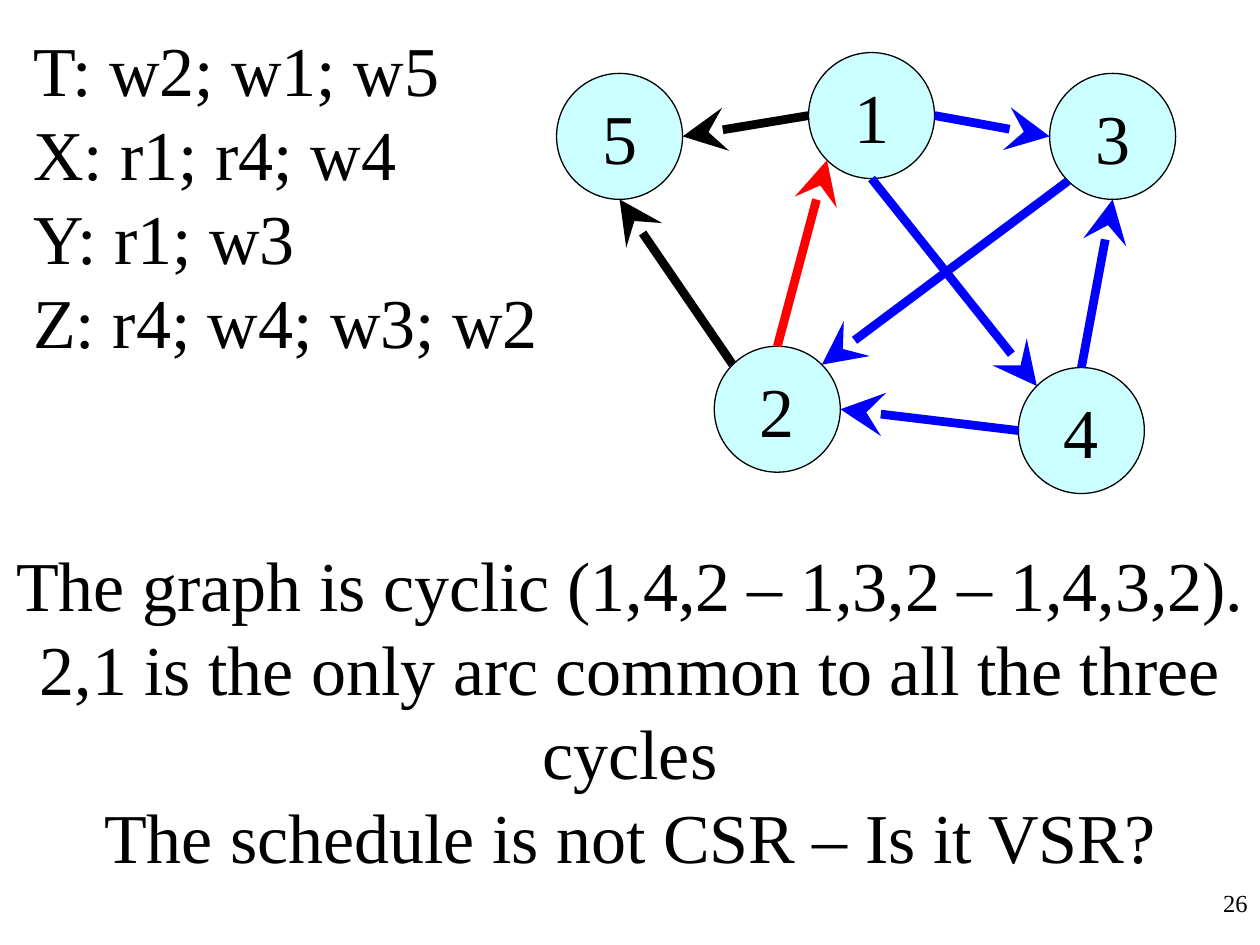
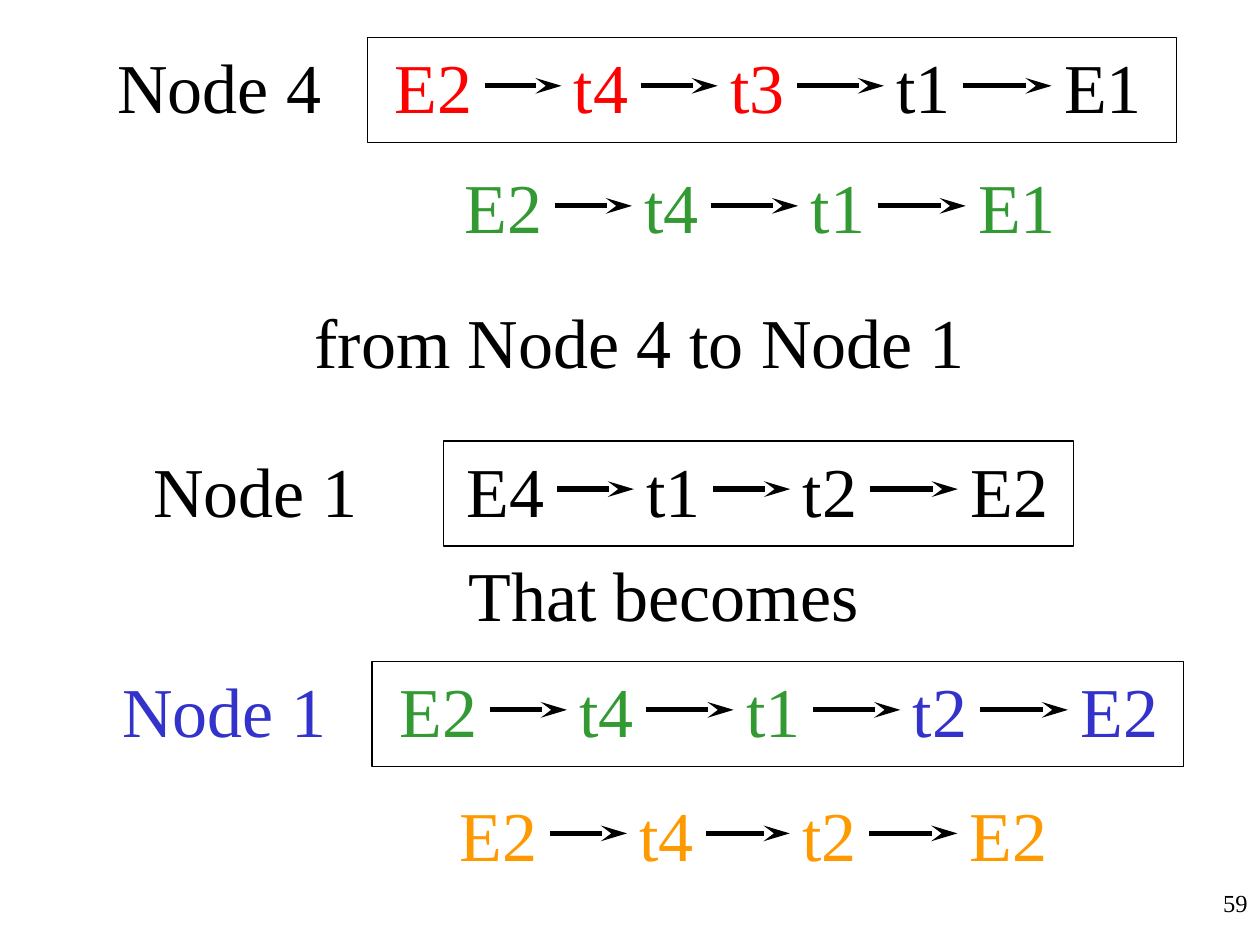
from math import cos, radians, sin

from lxml.etree import SubElement
from pptx import Presentation
from pptx.dml.color import RGBColor
from pptx.enum.shapes import MSO_CONNECTOR, MSO_SHAPE
from pptx.enum.text import MSO_ANCHOR, PP_ALIGN
from pptx.oxml.ns import qn
from pptx.util import Cm, Pt

BLACK = RGBColor(0, 0, 0)
RED = RGBColor(0xFF, 0, 0)
BLUE = RGBColor(0, 0, 0xFF)
PALE_CYAN = RGBColor(0xCC, 0xFF, 0xFF)
GREEN = RGBColor(0x33, 0x99, 0x33)
INDIGO = RGBColor(0x33, 0x33, 0xCC)
ORANGE = RGBColor(0xFF, 0x99, 0)

FONT = "Times New Roman"
TEXT_SIZE = 40
NUMBER_SIZE = 14
LINE_FACTOR = 1.2
TEXT_HEIGHT = 1.96

NODE_SIZE = 2.54
RIGHT, BOTTOM, BOTTOM_LEFT, LEFT = 0, 90, 135, 180
TOP_LEFT, TOP, TOP_RIGHT = 225, 270, 315

NODES = {
    "1": (5.08, 0),
    "2": (3.18, 5.92),
    "3": (9.94, 0.42),
    "4": (9.31, 6.35),
    "5": (0, 0.42),
}
ARCS = [
    ("2", TOP, "1", BOTTOM_LEFT, RED),
    ("1", LEFT, "5", RIGHT, BLACK),
    ("1", BOTTOM, "4", TOP_LEFT, BLUE),
    ("1", RIGHT, "3", LEFT, BLUE),
    ("4", LEFT, "2", RIGHT, BLUE),
    ("2", TOP_LEFT, "5", BOTTOM, BLACK),
    ("4", TOP, "3", BOTTOM, BLUE),
    ("3", BOTTOM_LEFT, "2", TOP_RIGHT, BLUE),
]

FRAME_HEIGHT = 2.12
LABEL_WIDTH = 4.62
ARROW_DROP = 0.97
FIRST_GAP, LAST_GAP = 1.55, 1.78
STEP_WIDTHS = {"E": 2.07, "t": 1.6}


def write_lines(frame, lines, color=BLACK, size=TEXT_SIZE, align=PP_ALIGN.CENTER):
    for index, line in enumerate(lines):
        paragraph = frame.paragraphs[0] if index == 0 else frame.add_paragraph()
        paragraph.alignment = align
        paragraph.line_spacing = Pt(size * LINE_FACTOR)
        run = paragraph.add_run()
        run.text = line
        run.font.name = FONT
        run.font.size = Pt(size)
        run.font.color.rgb = color


def add_text(slide, left, top, width, height, lines, wrap=False, **style):
    box = slide.shapes.add_textbox(Cm(left), Cm(top), Cm(width), Cm(height))
    box.text_frame.word_wrap = wrap
    write_lines(box.text_frame, lines, **style)


def add_outlined(slide, preset, left, top, width, height, fill=None):
    shape = slide.shapes.add_shape(preset, Cm(left), Cm(top), Cm(width), Cm(height))
    shape.shadow.inherit = False
    if fill is None:
        shape.fill.background()
    else:
        shape.fill.solid()
        shape.fill.fore_color.rgb = fill
    shape.line.color.rgb = BLACK
    shape.line.width = Pt(0.75)
    return shape


def add_arrow(slide, start, end, color, width, head_width):
    arrow = slide.shapes.add_connector(
        MSO_CONNECTOR.STRAIGHT, *(Cm(value) for value in (*start, *end)))
    arrow.line.color.rgb = color
    arrow.line.width = Pt(width)
    SubElement(arrow.line._get_or_add_ln(), qn("a:tailEnd"),
               type="stealth", w=head_width, len="lg")
    SubElement(arrow._element.spPr, qn("a:effectLst"))


def add_slide(presentation, number):
    slide = presentation.slides.add_slide(presentation.slide_layouts[6])
    add_text(slide, 20.12, 17.78, 5.28, 1.27, [number], wrap=True,
             size=NUMBER_SIZE, align=PP_ALIGN.RIGHT)
    return slide


def add_conflict_graph(slide, left, top):
    radius = NODE_SIZE / 2

    def rim_point(node, angle):
        x, y = NODES[node]
        return (left + x + radius * (1 + cos(radians(angle))),
                top + y + radius * (1 + sin(radians(angle))))

    for name, (x, y) in NODES.items():
        circle = add_outlined(slide, MSO_SHAPE.OVAL, left + x, top + y,
                              NODE_SIZE, NODE_SIZE, PALE_CYAN)
        circle.text_frame.word_wrap = False
        circle.text_frame.vertical_anchor = MSO_ANCHOR.MIDDLE
        write_lines(circle.text_frame, [name])
    for source, source_angle, target, target_angle, color in ARCS:
        add_arrow(slide, rim_point(source, source_angle),
                  rim_point(target, target_angle), color, 5, "lg")


def add_chain(slide, left, top, steps, middle_gaps):
    gaps = [FIRST_GAP, *middle_gaps, LAST_GAP]
    for index, (name, color) in enumerate(steps):
        if index > 0:
            gap = gaps[index - 1]
            arrow_y = top + ARROW_DROP
            add_arrow(slide, (left, arrow_y), (left + gap, arrow_y), BLACK, 3, "med")
            left += gap
        width = STEP_WIDTHS[name[0]]
        add_text(slide, left, top, width, TEXT_HEIGHT, [name], color=color)
        left += width


def add_node_row(slide, left, top, label, frame_offset, frame_width,
                 chain_offset, steps, middle_gaps, label_color=BLACK):
    add_outlined(slide, MSO_SHAPE.RECTANGLE, left + frame_offset, top,
                 frame_width, FRAME_HEIGHT)
    add_text(slide, left, top, LABEL_WIDTH, TEXT_HEIGHT, [label], color=label_color)
    add_chain(slide, left + chain_offset, top, steps, middle_gaps)


def build_graph_slide(presentation):
    slide = add_slide(presentation, "26")
    add_text(slide, 0.42, 0.42, 10.7, 7.04,
             ["T: w2; w1; w5", "X: r1; r4; w4", "Y: r1; w3", "Z: r4; w4; w3; w2"],
             align=PP_ALIGN.LEFT)
    add_conflict_graph(slide, 11.22, 1.06)
    add_text(slide, 0, 10.8, 25.4, 7.04,
             ["The graph is cyclic (1,4,2 – 1,3,2 – 1,4,3,2).",
              "2,1 is the only arc common to all the three cycles",
              "The schedule is not CSR – Is it VSR?"], wrap=True)


def build_deadlock_slide(presentation):
    slide = add_slide(presentation, "59")
    add_node_row(slide, 2.11, 0.76, "Node 4", 5.3, 16.31, 5.59,
                 [("E2", RED), ("t4", RED), ("t3", RED), ("t1", BLACK), ("E1", BLACK)],
                 [1.55, 1.75])
    add_chain(slide, 9.12, 3.18,
              [(name, GREEN) for name in ("E2", "t4", "t1", "E1")], [1.75])
    add_text(slide, 5.4, 5.89, 15, TEXT_HEIGHT, ["from Node 4 to Node 1"])
    add_node_row(slide, 2.84, 8.89, "Node 1", 6.1, 12.7, 6.32,
                 [(name, BLACK) for name in ("E4", "t1", "t2", "E2")], [1.55])
    add_text(slide, 8.88, 11, 9, TEXT_HEIGHT, ["That becomes"])
    add_node_row(slide, 2.21, 13.34, "Node 1", 5.29, 16.36, 5.6,
                 [("E2", GREEN), ("t4", GREEN), ("t1", GREEN),
                  ("t2", INDIGO), ("E2", INDIGO)],
                 [1.76, 1.76], label_color=INDIGO)
    add_chain(slide, 9.02, 15.83,
              [(name, ORANGE) for name in ("E2", "t4", "t2", "E2")], [1.68])


def main():
    presentation = Presentation()
    presentation.slide_width = Cm(25.4)
    presentation.slide_height = Cm(19.05)
    build_graph_slide(presentation)
    build_deadlock_slide(presentation)
    presentation.save("out.pptx")


if __name__ == "__main__":
    main()
